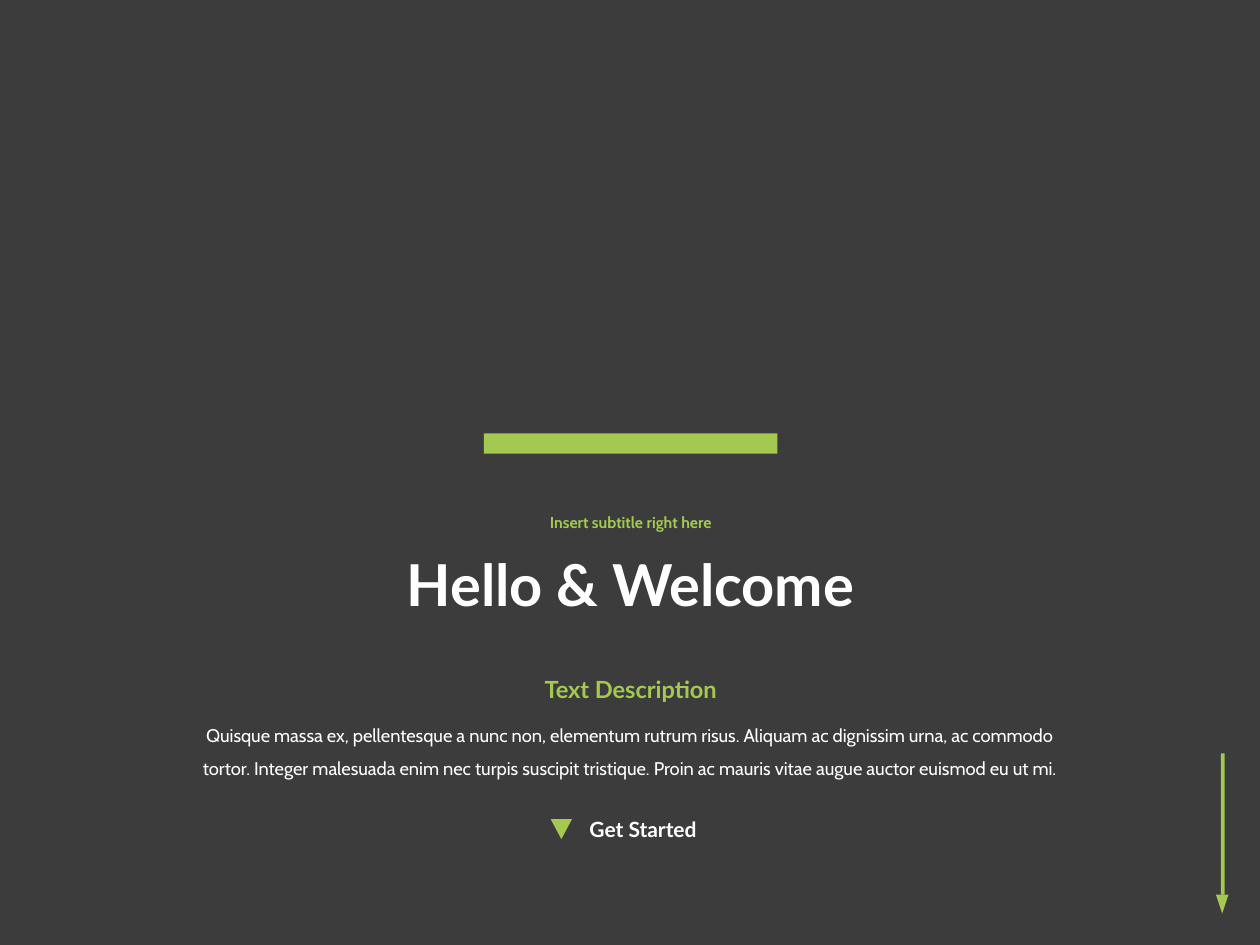
"""Build the welcome slide with its title, description and call to action."""
import pptx
import pptx.dml.color
import pptx.enum.shapes
import pptx.enum.text
import pptx.util

Inches = pptx.util.Inches
SHAPE = pptx.enum.shapes.MSO_SHAPE
ALIGN = pptx.enum.text.PP_ALIGN
ANCHOR = pptx.enum.text.MSO_ANCHOR
CHARCOAL = pptx.dml.color.RGBColor(0x3C, 0x3C, 0x3C)
GREEN = pptx.dml.color.RGBColor(0xA3, 0xC9, 0x51)
WHITE = pptx.dml.color.RGBColor(0xFF, 0xFF, 0xFF)


def write_text(holder, text, size, font="Lato", color=WHITE, bold=True,
               align=ALIGN.CENTER, anchor=ANCHOR.TOP, spacing=1.0):
    frame = holder.text_frame
    frame.word_wrap = True
    frame.auto_size = pptx.enum.text.MSO_AUTO_SIZE.NONE
    frame.vertical_anchor = anchor
    paragraph = frame.paragraphs[0]
    paragraph.alignment = align
    paragraph.line_spacing = spacing
    paragraph.space_before = pptx.util.Pt(0)
    run = paragraph.add_run()
    run.text = text
    run.font.name = font
    run.font.size = pptx.util.Pt(size)
    run.font.bold = bold
    run.font.color.rgb = color


presentation = pptx.Presentation()
presentation.slide_width = Inches(10)
presentation.slide_height = Inches(7.5)
slide = presentation.slides.add_slide(presentation.slide_layouts[5])
slide.background.fill.solid()
slide.background.fill.fore_color.rgb = CHARCOAL

accents = [
    (SHAPE.RECTANGLE, 9.69, 5.98, 0.03, 1.12, 0),
    (SHAPE.ISOSCELES_TRIANGLE, 9.65, 7.1, 0.1, 0.15, 180),
    (SHAPE.ISOSCELES_TRIANGLE, 4.37, 6.5, 0.17, 0.16, 180),
    (SHAPE.RECTANGLE, 3.84, 3.44, 2.33, 0.16, 0),
]
for kind, left, top, width, height, rotation in accents:
    accent = slide.shapes.add_shape(
        kind, Inches(left), Inches(top), Inches(width), Inches(height))
    accent.rotation = rotation
    accent.shadow.inherit = False
    accent.fill.solid()
    accent.fill.fore_color.rgb = GREEN
    accent.line.fill.background()

title = slide.shapes.title
title.left, title.top = Inches(2.19), Inches(4.15)
title.width, title.height = Inches(5.63), Inches(1.03)
write_text(title, "Hello & Welcome", 33, anchor=ANCHOR.MIDDLE, spacing=0.9)

captions = [
    ("Insert subtitle right here", (2.19, 3.96, 5.63, 0.38),
     dict(size=9, font="Cabin", color=GREEN, anchor=ANCHOR.MIDDLE, spacing=0.9)),
    ("Text Description", (3.91, 5.31, 2.19, 0.33), dict(size=13.5, color=GREEN)),
    ("Quisque massa ex, pellentesque a nunc non, elementum rutrum risus. "
     "Aliquam ac dignissim urna, ac commodo tortor. Integer malesuada enim nec "
     "turpis suscipit tristique. Proin ac mauris vitae augue auctor euismod eu ut mi.",
     (1.44, 5.61, 7.12, 0.6),
     dict(size=10.5, font="Cabin", bold=False, spacing=1.5)),
    ("Get Started", (4.58, 6.43, 1.22, 0.3), dict(size=12, align=ALIGN.LEFT)),
]
for text, place, text_format in captions:
    caption = slide.shapes.add_textbox(*[Inches(length) for length in place])
    write_text(caption, text, **text_format)

presentation.save("out.pptx")
